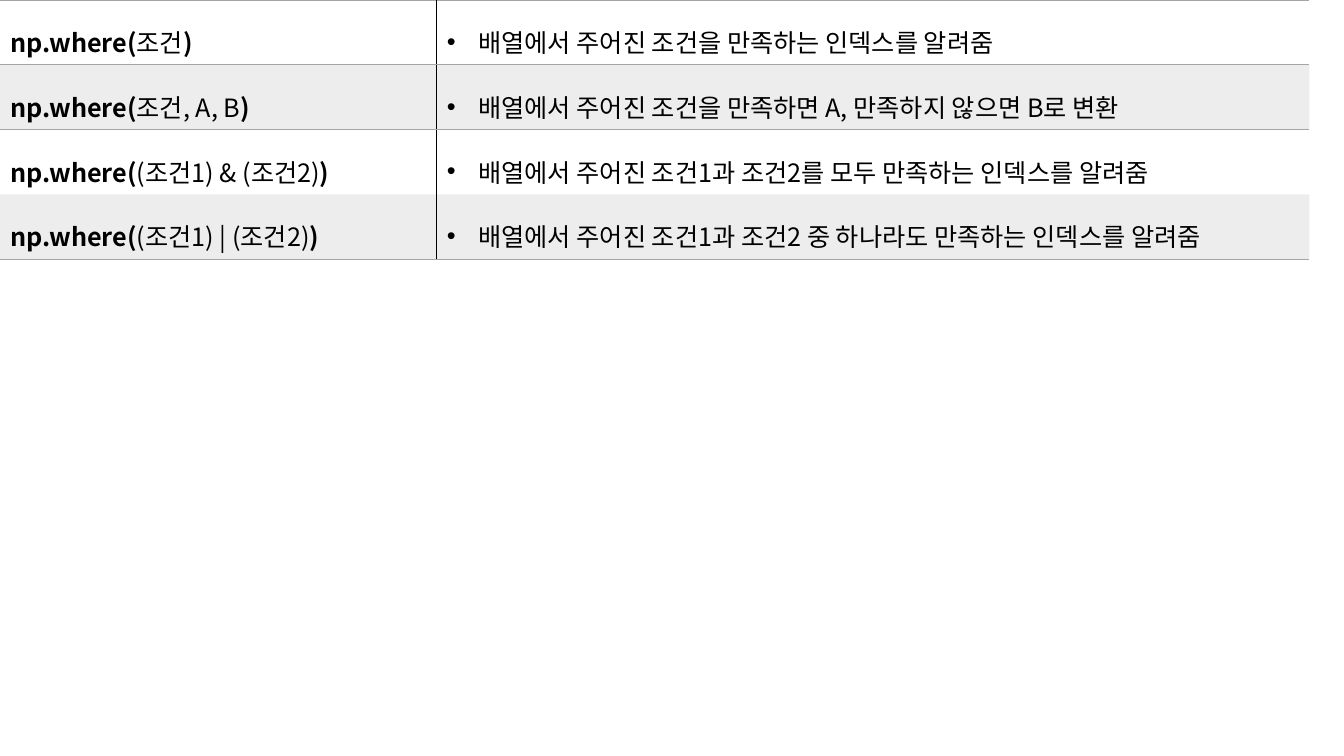
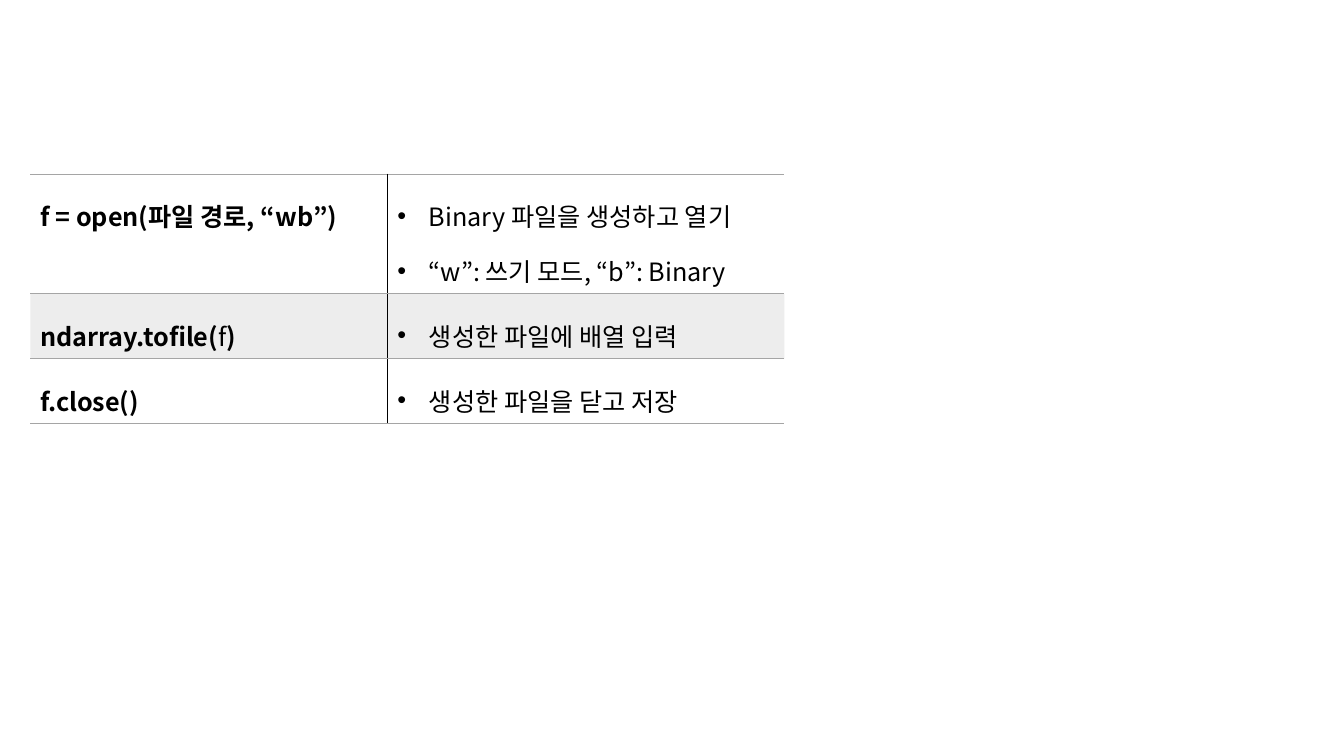
import pptx
import pptx.dml.color
import pptx.oxml
import pptx.oxml.ns
import pptx.util

PX = 9525
FONT = "Noto Sans CJK KR"
BLACK = pptx.dml.color.RGBColor(0, 0, 0)
GRAY = pptx.dml.color.RGBColor(0xA5, 0xA5, 0xA5)
NO_GRID = "{2D5ABB26-0587-4C30-8999-92F81FD0307C}"
BULLET_INDENT = 30
ROW_H = 39
NS = pptx.oxml.ns.nsdecls("a")

TABLES = [
    (0, 0, (416, 831), [
        (("np.where(", "조건", ")"), ["배열에서 주어진 조건을 만족하는 인덱스를 알려줌"]),
        (("np.where(", "조건, A, B", ")"),
         ["배열에서 주어진 조건을 만족하면 A, 만족하지 않으면 B로 변환"]),
        (("np.where(", "(조건1) & (조건2)", ")"),
         ["배열에서 주어진 조건1과 조건2를 모두 만족하는 인덱스를 알려줌"]),
        (("np.where(", "(조건1) | (조건2)", ")"),
         ["배열에서 주어진 조건1과 조건2 중 하나라도 만족하는 인덱스를 알려줌"]),
    ]),
    (29, 166, (340, 378), [
        (("f = open(파일 경로, “wb”)",),
         ["Binary 파일을 생성하고 열기", "“w”: 쓰기 모드, “b”: Binary"]),
        (("ndarray.tofile(", "f", ")"), ["생성한 파일에 배열 입력"]),
        (("f.close()",), ["생성한 파일을 닫고 저장"]),
    ]),
]


def write(p, text, bold=False, bullet=False):
    p.line_spacing = 1.5
    if bullet:
        pPr = p._p.get_or_add_pPr()
        pPr.set("marL", str(BULLET_INDENT * PX))
        pPr.set("indent", str(-BULLET_INDENT * PX))
        pPr.append(pptx.oxml.parse_xml(f'<a:buFont {NS} typeface="Arial"/>'))
        pPr.append(pptx.oxml.parse_xml(f'<a:buChar {NS} char="•"/>'))
    r = p.add_run()
    r.text = text
    r.font.size = pptx.util.Pt(18)
    r.font.bold = bold
    r.font.color.rgb = BLACK
    r.font.name = FONT
    r._r.get_or_add_rPr().append(
        pptx.oxml.parse_xml(f'<a:ea {NS} typeface="{FONT}"/>'))


def format_cell(cell, borders, shaded):
    tcPr = cell._tc.get_or_add_tcPr()
    if shaded:
        cell.fill.solid()
        cell.fill.fore_color.rgb = GRAY
        clr = tcPr.find(".//" + pptx.oxml.ns.qn("a:srgbClr"))
        clr.append(pptx.oxml.parse_xml(f'<a:alpha {NS} val="20000"/>'))
    else:
        cell.fill.background()
    for i, (side, color) in enumerate(borders):
        tcPr.insert(i, pptx.oxml.parse_xml(
            f'<a:ln{side} {NS} w="12700"><a:solidFill><a:srgbClr val="{color}"/>'
            f'</a:solidFill></a:ln{side}>'))


prs = pptx.Presentation()
prs.slide_width = 1280 * PX
prs.slide_height = 720 * PX

for left, top, widths, rows in TABLES:
    s = prs.slides.add_slide(prs.slide_layouts[6])
    frame = s.shapes.add_table(len(rows), len(widths), left * PX, top * PX,
                               sum(widths) * PX, len(rows) * ROW_H * PX)
    table = frame.table
    table.first_row = False
    table.horz_banding = False
    table._tbl.tblPr.find(pptx.oxml.ns.qn("a:tableStyleId")).text = NO_GRID
    for col, width in zip(table.columns, widths):
        col.width = width * PX

    for i, (code, notes) in enumerate(rows):
        code_cell, note_cell = table.cell(i, 0), table.cell(i, 1)
        p = code_cell.text_frame.paragraphs[0]
        for j, part in enumerate(code):
            write(p, part, bold=j % 2 == 0)
        tf = note_cell.text_frame
        for j, note in enumerate(notes):
            p = tf.add_paragraph() if j else tf.paragraphs[0]
            write(p, note, bullet=True)

        rules = []
        if i < 2:
            rules.append(("T", GRAY))
        if i in (0, len(rows) - 1):
            rules.append(("B", GRAY))
        for cell, side in ((code_cell, "R"), (note_cell, "L")):
            format_cell(cell, [(side, BLACK)] + rules, shaded=i % 2 == 1)

prs.save("out.pptx")
